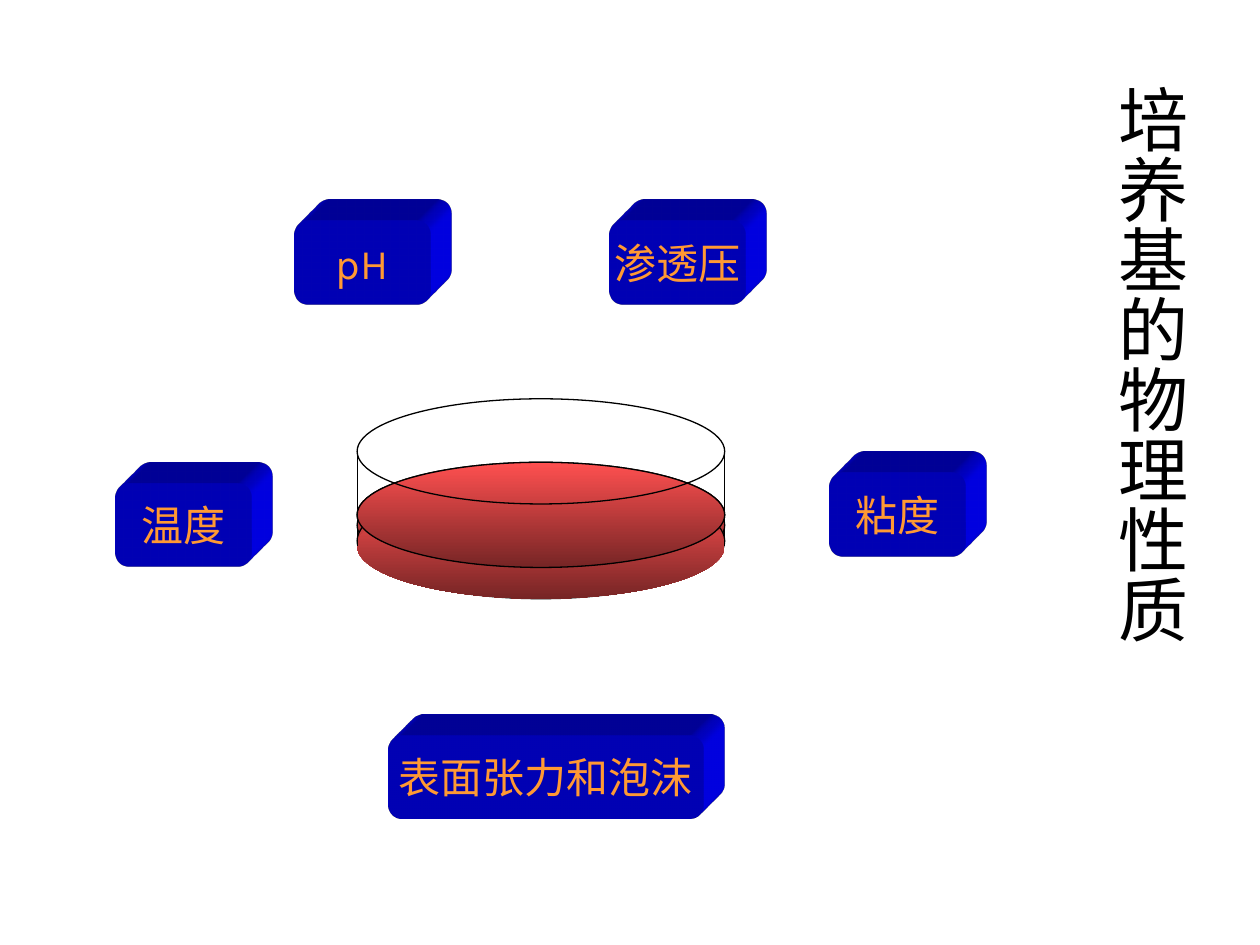
from lxml import etree
from pptx import Presentation
from pptx.dml.color import RGBColor
from pptx.enum import shapes, text
from pptx.oxml import parse_xml
from pptx.oxml.ns import nsdecls, qn
from pptx.util import Cm, Pt

COLORS = {
    "ink": "000000",
    "label": "FF9933",
    "block": "0000FF",
    "agar_light": "FF5050",
    "agar_dark": "762525",
}
TITLE = "培养基的物理性质"
TITLE_FONT, LABEL_FONT = "Noto Sans CJK JP", "Karla"

# label, left, top, width in cm
BLOCKS = [
    ("渗透压", 12.28, 4.45, 2.75),
    ("温度", 2.33, 9.74, 2.75),
    ("粘度", 16.72, 9.53, 2.75),
    ("pH", 5.93, 4.45, 2.75),
    ("表面张力和泡沫", 7.83, 14.82, 6.35),
]
BLOCK_HEIGHT = 1.69

DISH_LEFT, DISH_WIDTH = 7.2, 7.41
DISC_HEIGHT = 2.12
WALL_TOP, WALL_BOTTOM = 9.1, 11.01
# top, height in cm, outlined; from back to front
AGAR_LAYERS = [(9.32, DISC_HEIGHT, True), (9.53, DISC_HEIGHT, True),
               (9.74, 2.33, True), (9.95, DISC_HEIGHT, False)]
AGAR_SURFACE = (9.32, DISC_HEIGHT, True)
RIM_TOP = 8.04


def color(name):
    return RGBColor.from_string(COLORS[name])


def draw_outline(line):
    line.color.rgb = color("ink")
    line.width = Pt(0.75)


def add_disc(page, top, height, outlined, filled=True):
    disc = page.shapes.add_shape(shapes.MSO_SHAPE.OVAL, Cm(DISH_LEFT), Cm(top),
                                 Cm(DISH_WIDTH), Cm(height))
    disc.shadow.inherit = False
    if filled:
        disc.fill.gradient()
        disc.fill.gradient_angle = 270
        for stop, name in zip(disc.fill.gradient_stops, ("agar_light", "agar_dark")):
            stop.color.rgb = color(name)
        for stop, position in zip(disc.fill.gradient_stops, (0, 1)):
            stop.position = position
    else:
        disc.fill.background()
    if outlined:
        draw_outline(disc.line)
    else:
        disc.line.fill.background()


def add_wall(page, x):
    wall = page.shapes.add_connector(shapes.MSO_CONNECTOR.STRAIGHT, Cm(x),
                                     Cm(WALL_TOP), Cm(x), Cm(WALL_BOTTOM))
    draw_outline(wall.line)
    etree.SubElement(wall._element.spPr, qn("a:effectLst"))


def extrude(shape):
    """Give the shape depth towards the upper right."""
    properties = shape._element.spPr
    properties.append(parse_xml(
        f'<a:scene3d {nsdecls("a")}><a:camera prst="legacyObliqueTopRight"/>'
        '<a:lightRig rig="legacyFlat3" dir="b"/></a:scene3d>'))
    properties.append(parse_xml(
        f'<a:sp3d {nsdecls("a")} extrusionH="430200" prstMaterial="legacyMatte">'
        f'<a:extrusionClr><a:srgbClr val="{COLORS["block"]}"/></a:extrusionClr></a:sp3d>'))


def add_block(page, label, left, top, width):
    block = page.shapes.add_shape(shapes.MSO_SHAPE.ROUNDED_RECTANGLE, Cm(left),
                                  Cm(top), Cm(width), Cm(BLOCK_HEIGHT))
    block.adjustments[0] = 0.167
    block.shadow.inherit = False
    block.fill.solid()
    block.fill.fore_color.rgb = color("block")
    block.line.fill.background()
    extrude(block)
    frame = block.text_frame
    frame.word_wrap = False
    frame.vertical_anchor = text.MSO_ANCHOR.MIDDLE
    para = frame.paragraphs[0]
    para.text = label
    para.alignment = text.PP_ALIGN.CENTER
    para.font.size, para.font.name = Pt(24), LABEL_FONT
    para.font.color.rgb = color("label")


def add_title(page):
    box = page.shapes.add_textbox(Cm(22.23), Cm(1.47), Cm(1.93), Cm(15.32))
    frame = box.text_frame
    frame.word_wrap = True
    frame.vertical_anchor = text.MSO_ANCHOR.MIDDLE
    frame._txBody.bodyPr.set("vert", "eaVert")
    para = frame.paragraphs[0]
    para.text = TITLE
    para.alignment = text.PP_ALIGN.LEFT
    para.font.size, para.font.name = Pt(40), TITLE_FONT
    para.font.color.rgb = color("ink")


def main():
    deck = Presentation()
    deck.slide_width, deck.slide_height = Cm(25.4), Cm(19.05)
    page = deck.slides.add_slide(deck.slide_layouts[6])
    add_title(page)
    for layer in AGAR_LAYERS:
        add_disc(page, *layer)
    for x in (DISH_LEFT + DISH_WIDTH, DISH_LEFT):
        add_wall(page, x)
    add_disc(page, *AGAR_SURFACE)
    add_disc(page, RIM_TOP, DISC_HEIGHT, True, filled=False)
    for block in BLOCKS:
        add_block(page, *block)
    deck.save("out.pptx")


if __name__ == "__main__":
    main()
